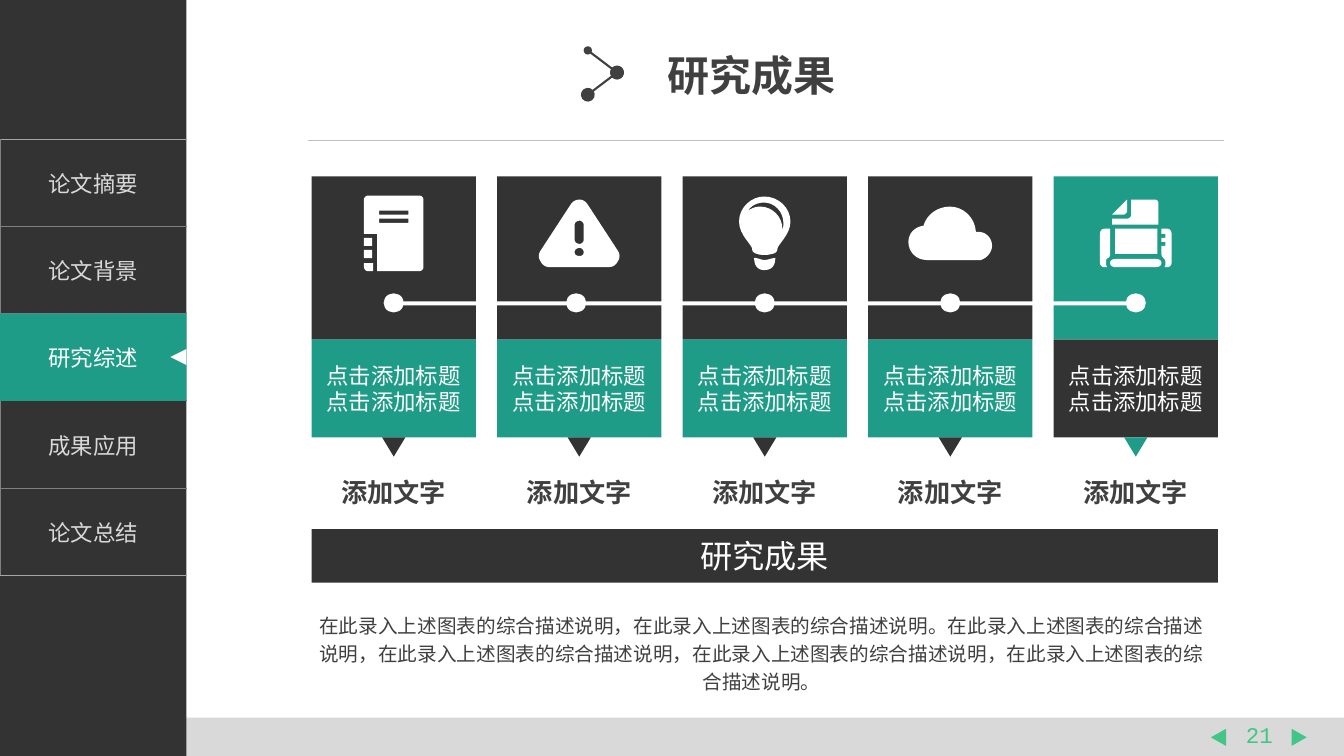
from lxml import etree
from pptx import Presentation
from pptx.dml.color import RGBColor
from pptx.enum import shapes, text
from pptx.oxml import ns
from pptx.util import Inches, Pt

DARK = RGBColor(0x33, 0x33, 0x33)
TEAL = RGBColor(0x1E, 0x9C, 0x87)
GREEN = RGBColor(0x42, 0xC6, 0x87)
WHITE = RGBColor(0xFF, 0xFF, 0xFF)
INK = RGBColor(0x40, 0x40, 0x40)
PALE = RGBColor(0xD9, 0xD9, 0xD9)
RULE = RGBColor(0xBF, 0xBF, 0xBF)
CJK = "Noto Sans CJK SC"
RECT = shapes.MSO_SHAPE.RECTANGLE
OVAL = shapes.MSO_SHAPE.OVAL
TRIANGLE = shapes.MSO_SHAPE.ISOSCELES_TRIANGLE

CHAPTERS = ["论文摘要", "论文背景", "研究综述", "成果应用", "论文总结"]
CURRENT = 2
PAGE = "21"
TITLE = "研究成果"
CARD_LINES = ["点击添加标题", "点击添加标题"]
CAPTION = "添加文字"
SUMMARY = "研究成果"
DESCRIPTION = (
    "在此录入上述图表的综合描述说明，在此录入上述图表的综合描述说明。"
    "在此录入上述图表的综合描述说明，在此录入上述图表的综合描述说明，"
    "在此录入上述图表的综合描述说明，在此录入上述图表的综合描述说明。")

# Icon outlines in hundredths of an inch from the card's top left corner
NOTEBOOK = """
M 61 94 L 56 94 C 54 94 52 92 52 90 L 52 86 L 61 86
M 56 19 L 107 19 C 109 19 111 21 111 23 L 111 90 C 111 92 109 94 107 94
L 65 94 L 65 57 L 52 57 L 52 23 C 52 21 54 19 56 19
M 67 46 L 96 46 L 96 42 L 67 42 M 67 38 L 96 38 L 96 34 L 67 34
M 52 61 L 60 61 L 60 69 L 52 69 M 52 73 L 60 73 L 60 81 L 52 81"""
WARNING = """
M 73 28 C 75 25 78 23 82 23 C 85 23 88 25 90 28 L 120 74 C 122 77 122 81 120 84
C 118 88 115 90 111 90 L 52 90 C 48 90 45 88 43 84 C 41 81 41 77 43 74
M 82 79 C 84 79 86 78 86 75 C 86 73 84 71 82 71 C 79 71 77 73 77 75
C 77 78 79 79 82 79
M 77 63 C 77 65 79 67 82 67 C 84 67 86 65 86 63 L 86 48
C 86 46 84 44 82 44 C 79 44 77 46 77 48"""
BULB = """
M 73 81 C 77 82 79 83 81 83 C 85 83 88 81 92 81 C 92 88 89 93 81 93
C 74 93 71 88 71 81
M 81 20 C 95 20 107 31 107 45 C 107 58 94 68 94 72 C 94 74 93 76 89 77
C 88 77 85 78 83 78 L 81 78 C 80 78 77 78 74 77 C 70 76 69 74 69 72
C 69 68 56 58 56 45 C 56 31 68 20 81 20
M 77 30 C 89 30 99 40 99 52 L 99 53 C 100 51 100 48 100 46
C 100 35 91 26 81 26 C 74 26 68 29 65 34 C 68 32 72 30 77 30"""
CLOUD = """
M 55 49 C 58 38 69 30 81 30 C 95 30 106 41 107 55 C 108 55 108 55 109 55
C 117 55 123 61 123 69 C 123 75 118 81 112 83 L 58 83
C 48 83 40 75 40 65 C 40 57 46 50 55 49"""
PRINTER = """
M 50 52 L 56 52 L 56 78 C 56 79 55 81 54 81 C 52 82 52 83 52 86
C 52 88 52 88 53 90 L 50 90 C 48 90 46 88 46 86 L 46 57 C 46 54 48 52 50 52
M 61 82 L 102 82 C 104 82 107 83 107 86 C 107 88 105 90 102 90 L 61 90
C 58 90 56 88 56 86 C 56 83 59 82 61 82
M 107 77 L 107 69 L 111 69 L 111 65 L 107 65 L 107 61 L 111 61 L 111 57
L 107 57 L 107 52 L 113 52 C 115 52 117 54 117 57 L 117 86
C 117 88 115 90 113 90 L 110 90 C 111 88 111 88 111 86
C 111 83 110 82 109 81 C 108 80 107 79 107 77
M 69 38 L 58 38 L 73 23 L 73 34 C 73 36 71 38 69 38
M 58 42 L 73 42 C 75 42 77 40 77 38 L 77 23 L 100 23
C 103 23 104 25 104 27 L 104 48 L 58 48
M 61 52 L 103 52 L 103 77 L 61 77"""
# icon, upper colour, lower colour, shift of the timeline dot from the centre
CARDS = [(NOTEBOOK, DARK, TEAL, 0), (WARNING, DARK, TEAL, -0.03),
         (BULB, DARK, TEAL, 0), (CLOUD, DARK, TEAL, 0), (PRINTER, TEAL, DARK, 0)]
CARD_LEFT, CARD_TOP, CARD_WIDTH, CARD_STEP = 3.09, 1.75, 1.63, 1.84
MENU_TOP, MENU_WIDTH, MENU_HEIGHT = 1.38, 1.85, 4.33
MENU_ROW = MENU_HEIGHT / len(CHAPTERS)

prs = Presentation()
prs.slide_width, prs.slide_height = Inches(13.33), Inches(7.5)
slide = prs.slides.add_slide(prs.slide_layouts[6])


def paint(shape, color):
    shape.shadow.inherit = False
    shape.fill.solid()
    shape.fill.fore_color.rgb = color
    shape.line.fill.background()


def write(frame, lines, size, color, font=CJK, bold=False, align=text.PP_ALIGN.CENTER):
    for i, line in enumerate(lines):
        paragraph = frame.paragraphs[0] if i == 0 else frame.add_paragraph()
        paragraph.alignment = align
        run = paragraph.add_run()
        run.text = line
        run.font.size, run.font.bold, run.font.name = Pt(size), bold, font
        run.font.color.rgb = color
        etree.SubElement(run.font._element, ns.qn("a:ea")).set("typeface", font)


def add_block(kind, box, color, lines=(), size=16, turn=0):
    block = slide.shapes.add_shape(kind, *map(Inches, box))
    paint(block, color)
    block.rotation = turn
    block.text_frame.vertical_anchor = text.MSO_ANCHOR.MIDDLE
    write(block.text_frame, lines, size, WHITE)


def add_label(box, line, size, color, wrap=False, spacing=1, margins=(0.1, 0.05), **style):
    """Text box; margins are the side inset and the top and bottom inset."""
    frame = slide.shapes.add_textbox(*map(Inches, box)).text_frame
    frame.word_wrap = wrap
    frame.margin_left = frame.margin_right = Inches(margins[0])
    frame.margin_top = frame.margin_bottom = Inches(margins[1])
    write(frame, [line], size, color, **style)
    frame.paragraphs[0].line_spacing = spacing


def add_line(start, end, color, width, ends=()):
    """Straight line; ends lists (tag, size) of its round end marks."""
    line = slide.shapes.add_connector(
        shapes.MSO_CONNECTOR.STRAIGHT, *map(Inches, start + end))
    line.line.color.rgb, line.line.width = color, Pt(width)
    for tag, size in ends:
        mark = etree.SubElement(line.line._get_or_add_ln(), ns.qn(tag))
        for key, value in (("type", "oval"), ("w", size), ("len", size)):
            mark.set(key, value)
    etree.SubElement(line._element.spPr, ns.qn("a:effectLst"))


def add_icon(outline, left, top):
    """Draw an outline of M, L and C commands, with curves as short segments."""
    builder = None
    for command in outline.replace("M", "|M").replace("L", "|L").replace("C", "|C").split("|")[1:]:
        letter, *numbers = command.split()
        xy = [float(n) * 100 for n in numbers]
        points = list(zip(xy[::2], xy[1::2]))
        if letter == "M":
            if builder is None:
                builder = slide.shapes.build_freeform(*points[0], scale=Inches(0.01) / 100)
            else:
                builder.add_line_segments([], close=True)
                builder.move_to(*points[0])
        elif letter == "L":
            builder.add_line_segments(points, close=False)
        else:
            curve = [pen, *points]
            builder.add_line_segments(
                [tuple(sum(w * p[axis] for w, p in zip(
                    ((1 - t) ** 3, 3 * t * (1 - t) ** 2, 3 * t * t * (1 - t), t ** 3), curve))
                    for axis in (0, 1)) for t in (k / 8 for k in range(1, 9))], close=False)
        pen = points[-1]
    builder.add_line_segments([], close=True)
    paint(builder.convert_to_shape(Inches(left), Inches(top)), WHITE)


def set_borders(cell, colors):
    """Put 1 pt borders on a cell; None leaves a side bare."""
    for i, (side, color) in enumerate(zip("LRTB", colors)):
        ln = etree.Element(ns.qn(f"a:ln{side}"), w=str(Pt(1)))
        if color:
            fill = etree.SubElement(ln, ns.qn("a:solidFill"))
            etree.SubElement(fill, ns.qn("a:srgbClr")).set("val", color)
        else:
            etree.SubElement(ln, ns.qn("a:noFill"))
        cell._tc.get_or_add_tcPr().insert(i, ln)


# Footer and chapter menu
add_block(RECT, (0, 7.12, 13.33, 0.38), PALE)
add_label((12.25, 7.11, 0.48, 0.37), PAGE, 16, GREEN, font="Courier New")
add_block(RECT, (0, 0, MENU_WIDTH, 7.5), DARK)
menu = slide.shapes.add_table(len(CHAPTERS), 1, 0, Inches(MENU_TOP), Inches(MENU_WIDTH),
                              Inches(MENU_HEIGHT)).table
menu.first_row = menu.horz_banding = False
for i, chapter in enumerate(CHAPTERS):
    cell = menu.cell(i, 0)
    cell.fill.background()
    cell.vertical_anchor = text.MSO_ANCHOR.MIDDLE
    write(cell.text_frame, [chapter], 16, PALE)
    set_borders(cell, ("808080", None, "A6A6A6" if i == 0 else "808080",
                       "A6A6A6" if i == len(CHAPTERS) - 1 else "808080"))
for left, turn in ((12.8, 90), (12, 270)):
    add_block(TRIANGLE, (left, 7.24, 0.17, 0.15), GREEN, turn=turn)
current_top = MENU_TOP + CURRENT * MENU_ROW
add_block(RECT, (0, current_top, MENU_WIDTH, MENU_ROW), TEAL, [CHAPTERS[CURRENT]])
add_block(TRIANGLE, (1.69, current_top + 0.35, 0.16, 0.16), WHITE, turn=270)

# Heading
add_line((3.05, 1.39), (12.14, 1.39), RULE, 0.5)
add_label((6.52, 0.44, 1.88, 0.61), TITLE, 30, INK, font="Arial", bold=True,
          align=text.PP_ALIGN.LEFT)
add_line((5.83, 0.5), (6.12, 0.72), INK, 1.5, [("a:headEnd", "med"), ("a:tailEnd", "lg")])
add_line((6.12, 0.72), (5.83, 0.94), INK, 1.5, [("a:headEnd", "lg"), ("a:tailEnd", "lg")])

# Cards
for i, (icon, upper, lower, shift) in enumerate(CARDS):
    left = CARD_LEFT + i * CARD_STEP
    centre = left + CARD_WIDTH / 2
    add_block(RECT, (left, CARD_TOP, CARD_WIDTH, 1.62), upper)
    add_block(RECT, (left, 3.37, CARD_WIDTH, 0.97), lower, CARD_LINES)
    add_icon(icon, left, CARD_TOP)
    add_block(OVAL, (centre + shift - 0.1, 2.91, 0.2, 0.19), WHITE)
    add_block(TRIANGLE, (centre - 0.115, 4.34, 0.23, 0.19), upper, turn=180)
    add_label((centre - 0.605, 4.69, 1.21, 0.4), CAPTION, 18.7, INK,
              margins=(0.04, 0.04), bold=True)
add_block(RECT, (3.85, 2.99, 4 * CARD_STEP, 0.04), WHITE)

# Summary
add_block(RECT, (CARD_LEFT, 5.25, 4 * CARD_STEP + CARD_WIDTH, 0.53), DARK, [SUMMARY], 23)
add_label((2.99, 5.99, 9.13, 0.95), DESCRIPTION, 14, INK, wrap=True, spacing=1.2)

prs.save("out.pptx")
